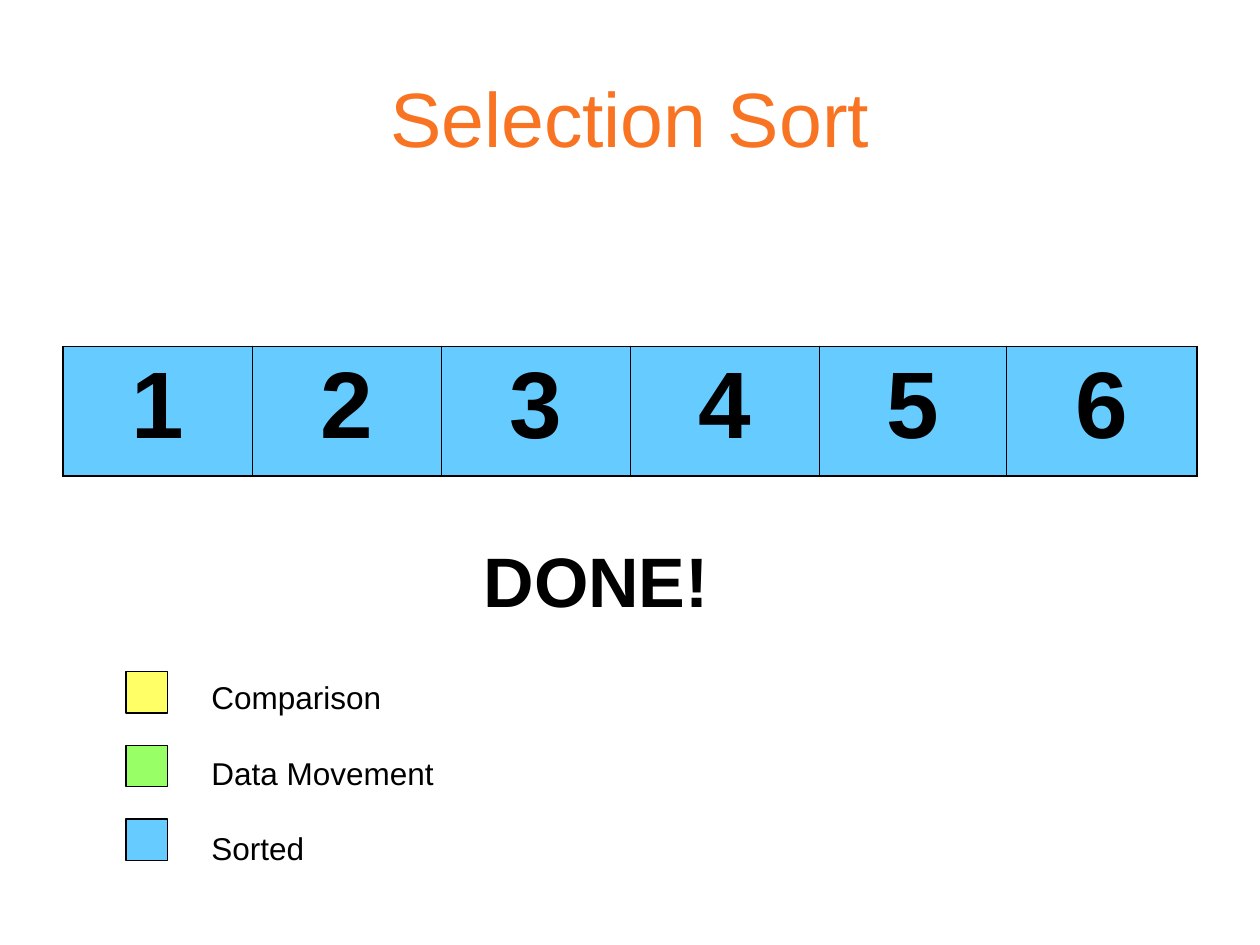
from pptx import Presentation
from pptx.dml.color import RGBColor as RGB
from pptx.enum.shapes import MSO_SHAPE as Shape
from pptx.enum.text import MSO_ANCHOR as Anchor, PP_ALIGN as Align
from pptx.oxml import parse_xml
from pptx.util import Inches, Pt

BLACK = RGB(0x00, 0x00, 0x00)
ORANGE = RGB(0xF8, 0x74, 0x22)
YELLOW = RGB(0xFF, 0xFF, 0x66)
GREEN = RGB(0x99, 0xFF, 0x66)
BLUE = RGB(0x66, 0xCC, 0xFF)
NS = "http://schemas.openxmlformats.org/drawingml/2006/main"

deck = Presentation()
deck.slide_width, deck.slide_height = Inches(10), Inches(7.5)
slide = deck.slides.add_slide(deck.slide_layouts[6])


def write(para, text, size, color=BLACK, bold=False):
    run = para.add_run()
    run.text = text
    style = {"name": "Arial", "size": Pt(size), "bold": bold}
    for key, value in style.items():
        setattr(run.font, key, value)
    run.font.color.rgb = color


def add_text(box, lines, size, gap=0, color=BLACK, bold=False, title=False):
    frame = slide.shapes.add_textbox(*map(Inches, box)).text_frame
    frame.word_wrap = True
    frame.vertical_anchor = Anchor.MIDDLE if title else Anchor.TOP
    for i, line in enumerate(lines):
        para = frame.add_paragraph() if i else frame.paragraphs[0]
        para.alignment = Align.CENTER if title else Align.LEFT
        para.space_before = Pt(gap if i else 0)
        write(para, line, size, color, bold)


add_text((0.5, 0.3, 9, 1.25), ["Selection Sort"], 44, color=ORANGE, title=True)

widths = [1.5] * 4 + [1.49, 1.51]
last = len(widths) - 1
table = slide.shapes.add_table(
    1, len(widths), Inches(0.5), Inches(2.75), Inches(9), Inches(1.03)).table
table.first_row = table.horz_banding = False
for i, width in enumerate(widths):
    table.columns[i].width = Inches(width)
    cell = table.cell(0, i)
    cell.fill.solid()
    cell.fill.fore_color.rgb = BLUE
    para = cell.text_frame.paragraphs[0]
    para.alignment = Align.CENTER
    para.space_before = Pt(13.5)
    write(para, str(i + 1), 54, bold=True)
    edges = {
        "lnL": 0.45 if i else 1.08,
        "lnR": 0.45 if i < last else 1.08,
        "lnT": 1.08,
        "lnB": 1.08,
    }
    props = cell._tc.get_or_add_tcPr()
    for n, (side, weight) in enumerate(edges.items()):
        props.insert(n, parse_xml(
            f'<a:{side} xmlns:a="{NS}" w="{Pt(weight)}"><a:solidFill>'
            f'<a:srgbClr val="{BLACK}"/></a:solidFill></a:{side}>'))

legend = {"Comparison": YELLOW, "Data Movement": GREEN, "Sorted": BLUE}
for i, color in enumerate(legend.values()):
    key = slide.shapes.add_shape(
        Shape.RECTANGLE, Inches(1), Inches(5.33 + i * 0.585), Inches(0.33), Inches(0.33))
    key.shadow.inherit = False
    key.fill.solid()
    key.fill.fore_color.rgb = color
    key.line.color.rgb = BLACK
    key.line.width = Pt(0.74)

add_text((1.58, 5.33, 2.1, 1.6), legend, 18, gap=21.7)
add_text((3.74, 4.22, 2.1, 0.77), ["DONE!"], 40, bold=True)

deck.save("out.pptx")
